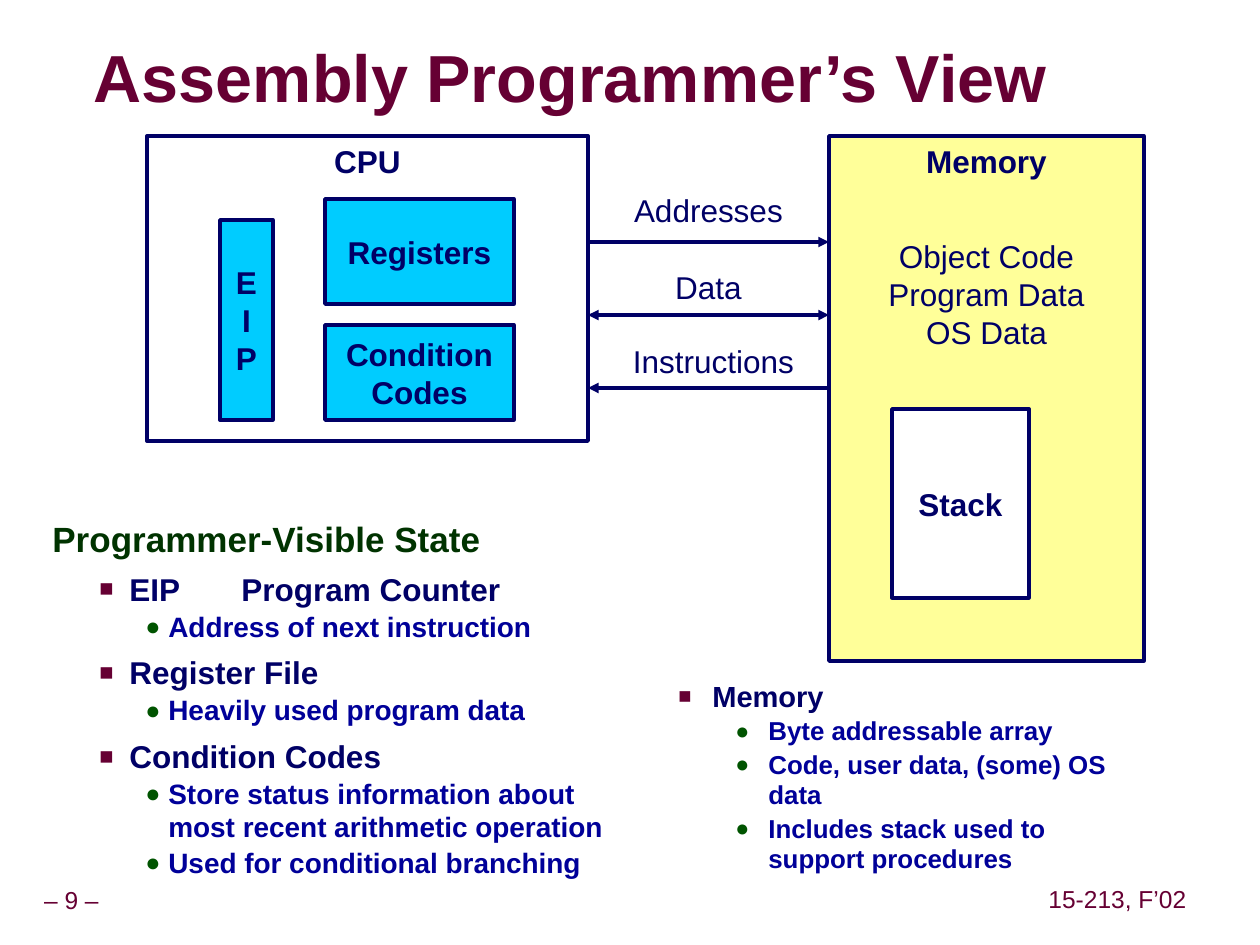
"""Build the slide on the assembly programmer's view of CPU and memory."""
import dataclasses

import pptx
import pptx.dml.color
import pptx.enum.shapes
import pptx.enum.text
import pptx.oxml.ns
import pptx.util
from lxml import etree

ALIGN = pptx.enum.text.PP_ALIGN
ANCHOR = pptx.enum.text.MSO_ANCHOR


def px(length):
    return pptx.util.Emu(round(length * 914400 / 126))


def color(value):
    return pptx.dml.color.RGBColor.from_string(value)


def child(parent, tag, **attributes):
    return etree.SubElement(parent, pptx.oxml.ns.qn(f"a:{tag}"), attributes)


@dataclasses.dataclass(frozen=True)
class Theme:
    font: str = "Arial"
    maroon: str = "660033"
    navy: str = "000066"
    blue: str = "000099"
    forest: str = "003300"
    green: str = "005400"
    cyan: str = "00CCFF"
    yellow: str = "FFFF99"
    white: str = "FFFFFF"
    shadow: str = "999999"
    title_size: float = 38
    heading_size: float = 20
    label_size: float = 18
    detail_size: float = 16
    footer_size: float = 14
    memory_size: float = 16.6
    memory_detail_size: float = 14.8
    outline: float = 2


def write(frame, text, *, size, ink, font, bold=False, align=ALIGN.LEFT, spacing=None,
          before=0, level=0, indent=None, bullet=None, tab=None, shadow=None):
    for line in text.split("\n"):
        first = len(frame.paragraphs) == 1 and not frame.paragraphs[0].runs
        para = frame.paragraphs[0] if first else frame.add_paragraph()
        para.level = level
        properties = para._p.get_or_add_pPr()
        if indent:
            margin, hanging = indent
            properties.set("marL", str(px(margin)))
            properties.set("indent", str(-px(hanging)))
        if bullet:
            symbol, tint, percent = bullet
            child(child(properties, "buClr"), "srgbClr", val=tint)
            child(properties, "buSzPct", val=str(percent * 1000))
            child(properties, "buFont", typeface=font)
            child(properties, "buChar", char=symbol)
        if tab:
            child(child(properties, "tabLst"), "tab", pos=str(px(tab)), algn="l")
        para.alignment = align
        if spacing:
            para.line_spacing = spacing
        if before and not first:
            para.space_before = pptx.util.Pt(before)
        span = para.add_run()
        span.text = line
        span.font.size = pptx.util.Pt(size)
        span.font.bold = bold
        span.font.color.rgb = color(ink)
        if shadow:
            effects = child(span._r.get_or_add_rPr(), "effectLst")
            outer = child(effects, "outerShdw", dist="38100", dir="2700000", algn="tl")
            child(outer, "srgbClr", val=shadow)
        span.font.name = font


class SlideBuilder:
    def __init__(self, theme, page):
        self.theme = theme
        self.page = page

    def text(self, place, text="", *, anchor=ANCHOR.TOP, inset=None, wrap=True, **style):
        box = self.page.shapes.add_textbox(*map(px, place))
        frame = box.text_frame
        frame.word_wrap = wrap
        frame.vertical_anchor = anchor
        if inset is not None:
            frame.margin_left = frame.margin_right = px(inset)
            frame.margin_top = frame.margin_bottom = px(inset)
        if text:
            write(frame, text, font=self.theme.font, **style)
        return frame

    def label(self, place, text):
        self.text(place, text, size=self.theme.label_size, ink=self.theme.navy,
                  align=ALIGN.CENTER)

    def footer(self, place, text):
        self.text(place, text, size=self.theme.footer_size, ink=self.theme.maroon,
                  align=ALIGN.CENTER, anchor=ANCHOR.MIDDLE, inset=6, wrap=False, spacing=0.9)

    def block(self, place, text, fill=None, anchor=ANCHOR.MIDDLE, width=None):
        box = self.page.shapes.add_shape(
            pptx.enum.shapes.MSO_SHAPE.RECTANGLE, *map(px, place))
        box.shadow.inherit = False
        if fill:
            box.fill.solid()
            box.fill.fore_color.rgb = color(fill)
        else:
            box.fill.background()
        box.line.color.rgb = color(self.theme.navy)
        box.line.width = pptx.util.Pt(width or self.theme.outline)
        box.text_frame.word_wrap = False
        box.text_frame.vertical_anchor = anchor
        write(box.text_frame, text, size=self.theme.label_size, ink=self.theme.navy,
              font=self.theme.font, bold=True, align=ALIGN.CENTER)

    def arrow(self, left, right, y, ends):
        line = self.page.shapes.add_connector(
            pptx.enum.shapes.MSO_CONNECTOR.STRAIGHT, px(left), px(y), px(right), px(y))
        line.line.color.rgb = color(self.theme.navy)
        line.line.width = pptx.util.Pt(self.theme.outline)
        for end in ends:
            child(line.line._get_or_add_ln(), end, type="triangle")
        child(line._element.spPr, "effectLst")

    def bullets(self, frame, items, sizes, indents, tab=None):
        theme = self.theme
        formats = {
            1: dict(ink=theme.navy, before=5.6, bullet=("■", theme.maroon, 75), tab=tab),
            2: dict(ink=theme.blue, before=2, bullet=("●", theme.green, 90), spacing=0.97),
        }
        for level, text in items:
            write(frame, text, font=theme.font, bold=True, level=level,
                  size=sizes[level - 1], indent=indents[level - 1], **formats[level])


def main():
    theme = Theme()
    deck = pptx.Presentation()
    deck.slide_width, deck.slide_height = px(1260), px(945)
    page = deck.slides.add_slide(deck.slide_layouts[6])
    slide = SlideBuilder(theme, page)

    slide.footer((-11, 882, 165, 39), "– 9 –")
    slide.footer((1042, 881, 151, 39), "15-213, F’02")
    slide.text((94, 42, 995, 79), "Assembly Programmer’s View", size=theme.title_size,
               ink=theme.maroon, bold=True, anchor=ANCHOR.MIDDLE, inset=0, spacing=0.87,
               shadow=theme.shadow)

    state = slide.text((40, 518, 601, 370), "Programmer-Visible State",
                       size=theme.heading_size, ink=theme.forest, bold=True, spacing=0.85)
    slide.bullets(state, [
        (1, "EIP\tProgram Counter"),
        (2, "Address of next instruction"),
        (1, "Register File"),
        (2, "Heavily used program data"),
        (1, "Condition Codes"),
        (2, "Store status information about most recent arithmetic operation"),
        (2, "Used for conditional branching"),
    ], (theme.label_size, theme.detail_size), ((77, 30), (116, 23)), tab=189)

    cpu_right, memory_left = 588, 829
    slide.block((220, 220, 53, 200), "E\nI\nP", theme.cyan)
    slide.block((325, 199, 189, 105), "Registers", theme.cyan)
    slide.block((325, 325, 189, 95), "Condition\nCodes", theme.cyan)
    slide.block((147, 136, cpu_right - 147, 305), "CPU", anchor=ANCHOR.TOP, width=2.25)
    slide.block((memory_left, 136, 315, 525), "Memory", theme.yellow, ANCHOR.TOP)
    slide.label((memory_left, 231, 315, 126), "Object Code\nProgram Data\nOS Data")
    slide.block((892, 409, 137, 189), "Stack", theme.white)

    buses = [
        ("Addresses", cpu_right, 185, ["tailEnd"]),
        ("Data", cpu_right, 262, ["headEnd", "tailEnd"]),
        ("Instructions", cpu_right + 10, 336, ["headEnd"]),
    ]
    for row, (name, left, top, ends) in enumerate(buses):
        slide.arrow(cpu_right, memory_left, 242 + 73 * row, ends)
        slide.label((left, top, memory_left - left, 50), name)

    memory = slide.text((598, 672, 562, 215))
    slide.bullets(memory, [
        (1, "Memory"),
        (2, "Byte addressable array"),
        (2, "Code, user data, (some) OS data"),
        (2, "Includes stack used to support procedures"),
    ], (theme.memory_size, theme.memory_detail_size), ((102, 34), (158, 33)))

    deck.save("out.pptx")


if __name__ == "__main__":
    main()
